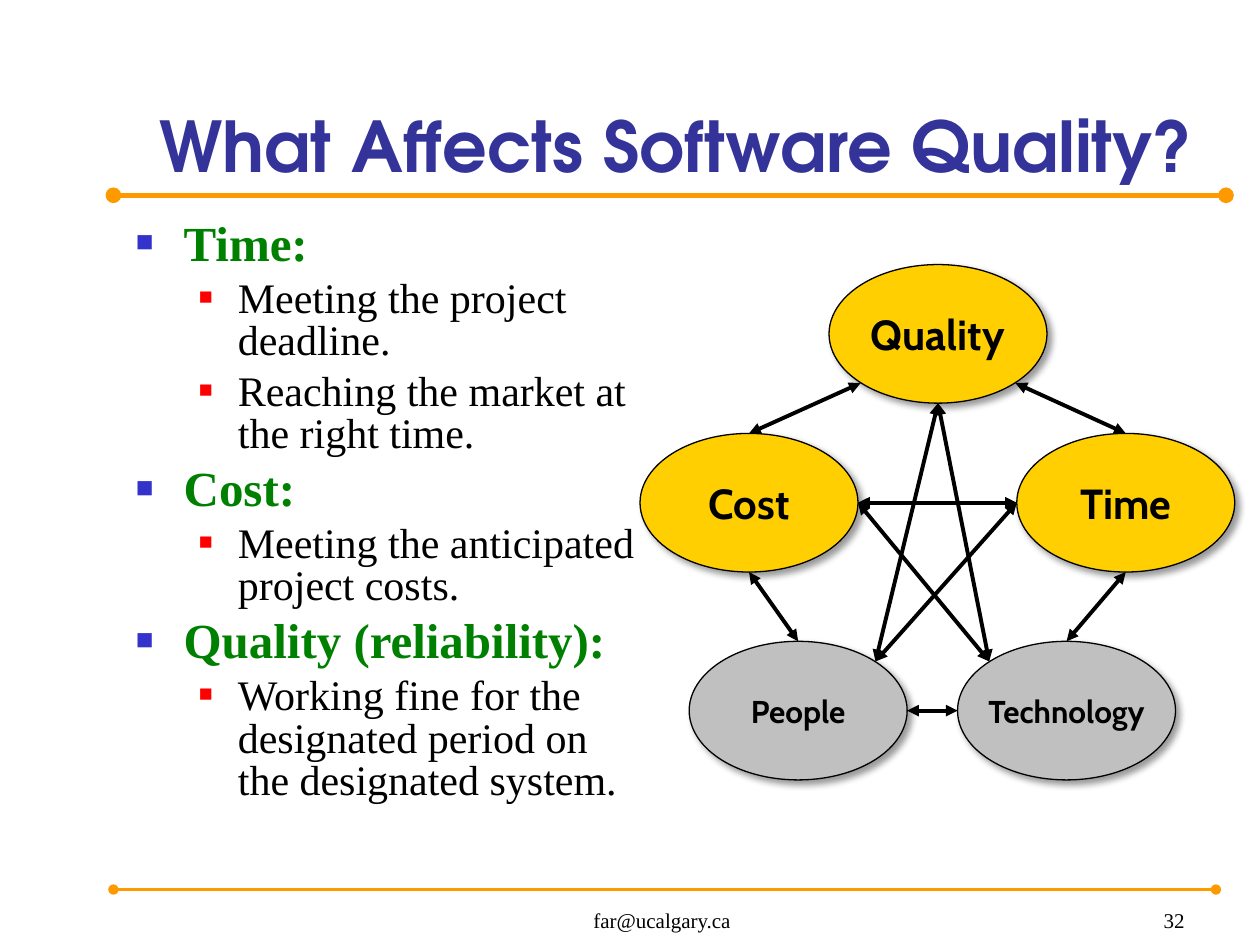
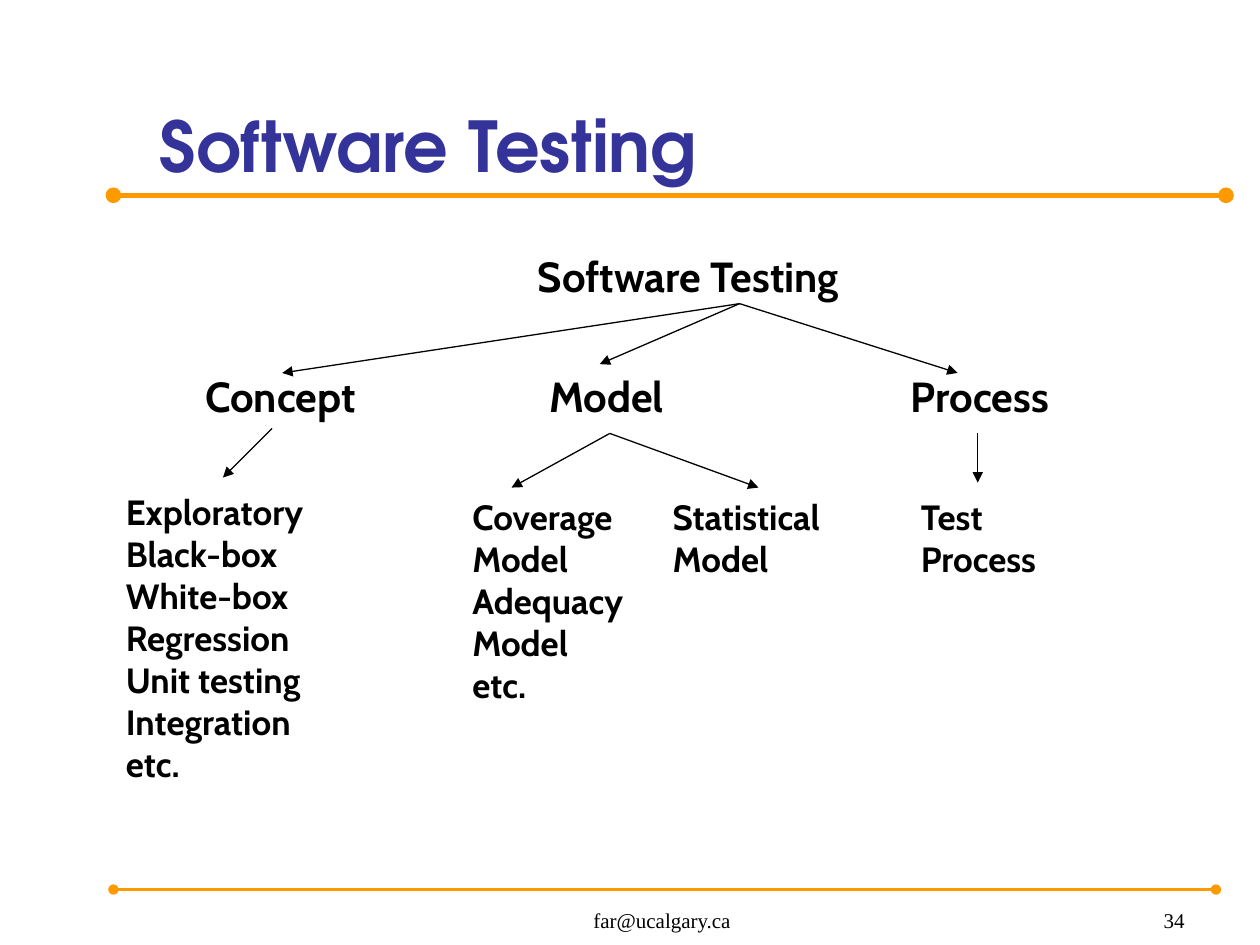
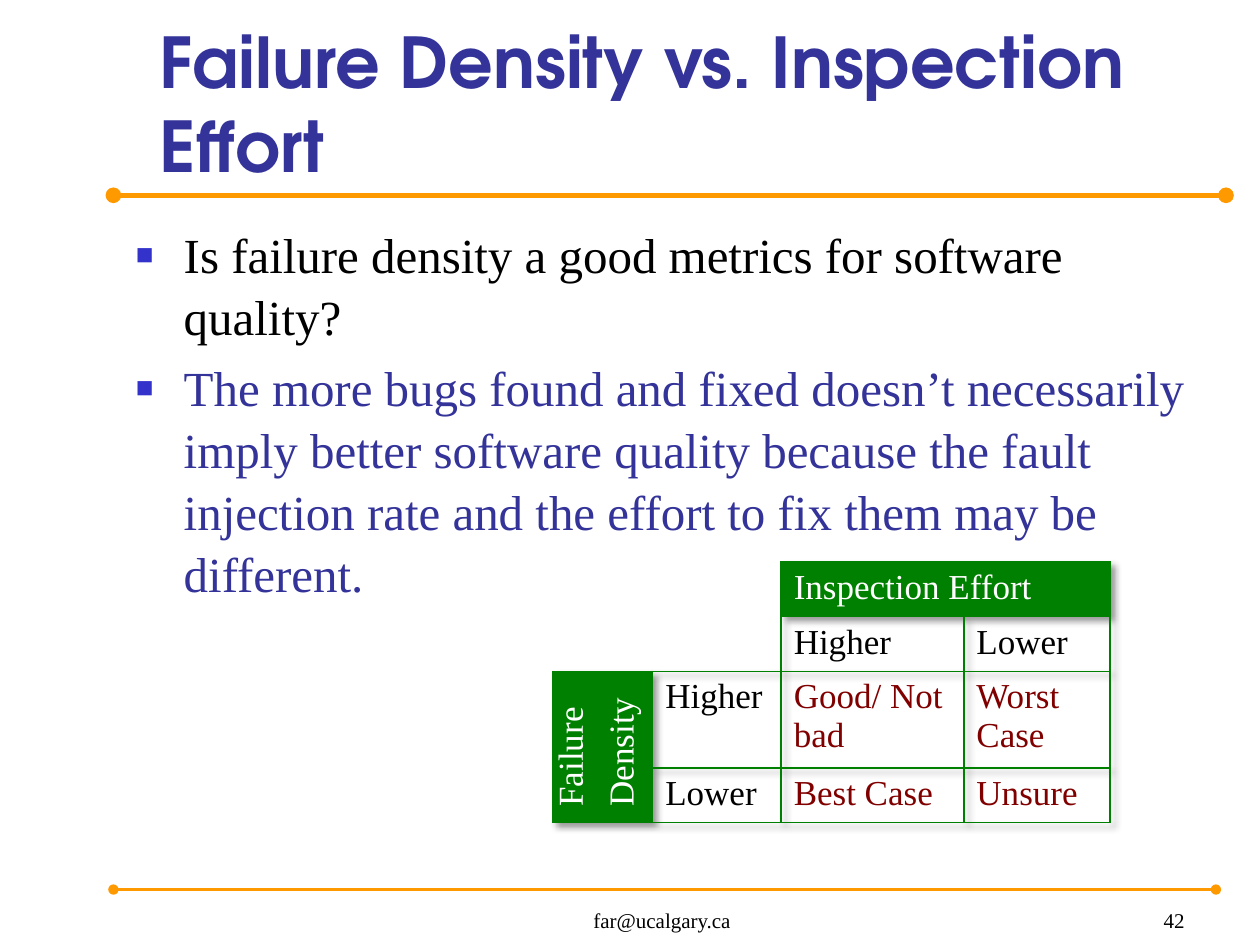
from lxml.etree import SubElement
from pptx import Presentation
from pptx.dml.color import RGBColor
from pptx.enum.shapes import MSO_CONNECTOR, MSO_SHAPE
from pptx.enum.text import MSO_ANCHOR, PP_ALIGN
from pptx.oxml import parse_xml
from pptx.oxml.ns import nsdecls, qn
from pptx.util import Inches, Pt

BLACK = RGBColor(0x00, 0x00, 0x00)
WHITE = RGBColor(0xFF, 0xFF, 0xFF)
NAVY = RGBColor(0x33, 0x33, 0x99)
BLUE = RGBColor(0x33, 0x33, 0xCC)
RED = RGBColor(0xFF, 0x00, 0x00)
GREEN = RGBColor(0x00, 0x80, 0x00)
MAROON = RGBColor(0x80, 0x00, 0x00)
ORANGE = RGBColor(0xFF, 0x99, 0x00)
GOLD = RGBColor(0xFF, 0xCF, 0x01)
GREY = RGBColor(0xC0, 0xC0, 0xC0)

SERIF = "Times New Roman"
SANS = "Cabin"
HEAD = "TeX Gyre Adventor"

# Places on an oval, as shares of its half width and half height
SLANT = 0.71
SIDES = {"top": (0, -1), "left": (-1, 0), "base": (0, 1), "right": (1, 0),
         "top left": (-SLANT, -SLANT), "top right": (SLANT, -SLANT),
         "base left": (-SLANT, SLANT), "base right": (SLANT, SLANT)}


def style(para, size, color=BLACK, face=SERIF, bold=False):
    for run in para.runs:
        font = run.font
        font.size, font.name, font.bold = Pt(size), face, bold
        font.color.rgb = color


def add_text(slide, box, lines, size, color=BLACK, face=SERIF, bold=False,
             align=PP_ALIGN.LEFT, anchor=MSO_ANCHOR.TOP):
    frame = slide.shapes.add_textbox(*map(Inches, box)).text_frame
    frame.word_wrap = True
    frame.vertical_anchor = anchor
    frame.text = "\n".join(lines)
    for para in frame.paragraphs:
        para.alignment = align
        style(para, size, color, face, bold)
    return frame


def add_line(slide, start, end, color=BLACK, width=0.75, head=None,
             tail="triangle"):
    line = slide.shapes.add_connector(
        MSO_CONNECTOR.STRAIGHT, *map(Inches, (*start, *end)))
    line.line.color.rgb = color
    line.line.width = Pt(width)
    stroke = line.line._get_or_add_ln()
    for tag, kind in (("a:headEnd", head), ("a:tailEnd", tail)):
        if kind:
            SubElement(stroke, qn(tag), type=kind)
    SubElement(line._element.spPr, qn("a:effectLst"))


def make_shadow():
    return parse_xml(
        f'<a:effectLst {nsdecls("a")}><a:outerShdw blurRad="{Pt(4)}" '
        f'dist="{Pt(3)}" dir="2700000" algn="tl" rotWithShape="0">'
        '<a:srgbClr val="000000"><a:alpha val="40000"/></a:srgbClr>'
        '</a:outerShdw></a:effectLst>')


def add_base(deck, title, number):
    """Blank slide with the shared title, rules and footer."""
    slide = deck.slides.add_slide(deck.slide_layouts[6])
    for y, right, width in ((1.55, 9.73, 3), (7.06, 9.65, 1.5)):
        add_line(slide, (0.9, y), (right, y), ORANGE, width, "oval", "oval")
    low = MSO_ANCHOR.BOTTOM
    add_text(slide, (3.67, 7.01, 3.17, 0.44), ["far@ucalgary.ca"], 12,
             align=PP_ALIGN.CENTER, anchor=low)
    add_text(slide, (7.42, 7.01, 2.08, 0.44), [str(number)], 12,
             align=PP_ALIGN.RIGHT, anchor=low)
    add_text(slide, (1.17, 0.28, 8.61, 1.25), [title], 40, NAVY, HEAD, True,
             anchor=low)
    return slide


def add_bullet(para, level):
    indent, hang, color, scale = (
        (0.38, 0.38, BLUE, 60), (0.81, 0.31, RED, 55))[level]
    props = para._p.get_or_add_pPr()
    props.set("marL", str(Inches(indent)))
    props.set("indent", str(-Inches(hang)))
    tint = SubElement(props, qn("a:buClr"))
    SubElement(tint, qn("a:srgbClr"), val=str(color))
    SubElement(props, qn("a:buSzPct"), val=str(scale * 1000))
    SubElement(props, qn("a:buFont"), typeface="Arial")
    SubElement(props, qn("a:buChar"), char="■")


def add_list(slide, width, items, spacing):
    """Items are (level, text, color, bold)."""
    frame = add_text(slide, (0.98, 1.71, width, 4.96),
                     [item[1] for item in items], 28)
    for index, (para, item) in enumerate(zip(frame.paragraphs, items)):
        level, _, color, bold = item
        size = (28, 24)[level]
        add_bullet(para, level)
        para.line_spacing = spacing
        if index:
            para.space_before = Pt(size / 5)
        style(para, size, color, bold=bold)


def add_oval(slide, name, left, top, color, size):
    oval = slide.shapes.add_shape(
        MSO_SHAPE.OVAL, *map(Inches, (left, top, 1.73, 1.1)))
    oval.fill.solid()
    oval.fill.fore_color.rgb = color
    oval.line.color.rgb = BLACK
    oval.line.width = Pt(0.75)
    oval._element.spPr.append(make_shadow())
    frame = oval.text_frame
    frame.word_wrap = False
    frame.vertical_anchor = MSO_ANCHOR.MIDDLE
    frame.text = name
    frame.paragraphs[0].alignment = PP_ALIGN.CENTER
    style(frame.paragraphs[0], size, face=SANS, bold=True)


def set_edges(cell, shown):
    props = cell._tc.get_or_add_tcPr()
    for index, side in enumerate("LRTB"):
        paint = (f'<a:solidFill><a:srgbClr val="{GREEN}"/></a:solidFill>'
                 if side in shown else "<a:noFill/>")
        props.insert(index, parse_xml(
            f'<a:ln{side} {nsdecls("a")} w="{Pt(1)}">{paint}</a:ln{side}>'))


def add_grid(slide, rows, widths, heights):
    grid = slide.shapes.add_table(
        len(rows), len(widths), Inches(4.39), Inches(4.46),
        Inches(sum(widths)), Inches(sum(heights))).table
    grid.first_row = grid.horz_banding = False
    grid._tbl.tblPr.insert(0, make_shadow())
    for column, width in zip(grid.columns, widths):
        column.width = Inches(width)
    for row, height in zip(grid.rows, heights):
        row.height = Inches(height)
    for r, row in enumerate(rows):
        for c, text in enumerate(row):
            cell = grid.cell(r, c)
            banner = (r == 0 and c > 1) or (c == 0 and r > 1)
            cell.fill.background()
            if banner:
                cell.fill.solid()
                cell.fill.fore_color.rgb = GREEN
            set_edges(cell, "RB" if r < 2 and c < 2 else "LRTB")
            if text:
                color = WHITE if banner else (
                    MAROON if r > 1 and c > 1 else BLACK)
                cell.text_frame.text = text
                style(cell.text_frame.paragraphs[0], 20, color)
    for first, last in (((0, 0), (1, 1)), ((0, 2), (0, 3)), ((2, 0), (3, 0))):
        grid.cell(*first).merge(grid.cell(*last))


def build_factors(deck):
    slide = add_base(deck, "What Affects Software Quality?", 32)
    add_list(slide, 4.17, [
        (0, "Time:", GREEN, True),
        (1, "Meeting the project deadline.", BLACK, False),
        (1, "Reaching the market at the right time.", BLACK, False),
        (0, "Cost:", GREEN, True),
        (1, "Meeting the anticipated project costs.", BLACK, False),
        (0, "Quality (reliability):", GREEN, True),
        (1, "Working fine for the designated period on the designated "
            "system.", BLACK, False)], 0.84)

    # Ovals and the arrows between them
    ovals = {"Quality": (6.58, 2.1, GOLD, 24), "Cost": (5.08, 3.44, GOLD, 24),
             "Time": (8.07, 3.44, GOLD, 24), "People": (5.47, 5.09, GREY, 18),
             "Technology": (7.6, 5.09, GREY, 18)}
    for name, place in ovals.items():
        add_oval(slide, name, *place)

    def find(name, side):
        left, top = ovals[name][:2]
        across, down = SIDES[side]
        return left + 0.865 * (1 + across), top + 0.55 * (1 + down)

    for start, end in (
            (("Cost", "top"), ("Quality", "base left")),
            (("Cost", "right"), ("Time", "left")),
            (("Quality", "base right"), ("Time", "top")),
            (("Time", "base"), ("Technology", "top")),
            (("People", "right"), ("Technology", "left")),
            (("People", "top"), ("Cost", "base")),
            (("Quality", "base"), ("Technology", "top left")),
            (("People", "top right"), ("Quality", "base")),
            (("People", "top right"), ("Time", "left")),
            (("Cost", "right"), ("Technology", "top left"))):
        add_line(slide, find(*start), find(*end), width=2.25, head="triangle")


def build_tree(deck):
    slide = add_base(deck, "Software Testing", 34)
    # Root and branches
    for left, top, width, text in (
            (4.17, 1.94, 3.09, "Software Testing"),
            (1.53, 2.89, 1.57, "Concept"),
            (4.26, 2.89, 1.21, "Model"),
            (7.13, 2.89, 1.49, "Process")):
        add_text(slide, (left, top, width, 0.5), [text], 24, face=SANS,
                 bold=True)
    # Leaves
    for left, top, width, lines in (
            (0.9, 3.84, 1.85, ["Exploratory", "Black-box", "White-box",
                               "Regression", "Unit testing", "Integration",
                               "etc."]),
            (3.65, 3.88, 1.57, ["Coverage", "Model", "Adequacy", "Model",
                                "etc."]),
            (5.24, 3.88, 1.61, ["Statistical", "Model"]),
            (7.21, 3.88, 1.27, ["Test", "Process"])):
        height = 0.1 + 0.34 * len(lines)
        add_text(slide, (left, top, width, height), lines, 20, face=SANS,
                 bold=True)
    # Arrows, by starting point
    for start, ends in (
            ((5.87, 2.41), ((2.24, 2.96), (4.76, 2.89), (7.6, 2.96))),
            ((2.16, 3.4), ((1.77, 3.79),)),
            ((4.84, 3.44), ((4.06, 3.87), (6.02, 3.87))),
            ((7.76, 3.44), ((7.76, 3.83),))):
        for end in ends:
            add_line(slide, start, end)


def build_density(deck):
    slide = add_base(deck, "Failure Density vs. Inspection Effort", 42)
    add_list(slide, 8.75, [
        (0, "Is failure density a good metrics for software quality?",
         BLACK, False),
        (0, "The more bugs found and fixed doesn’t necessarily imply better "
            "software quality because the fault injection rate and the "
            "effort to fix them may be different.", NAVY, False)], 1.05)
    add_grid(slide, [
        ["", "", "Inspection Effort", ""],
        ["", "", "Higher", "Lower"],
        ["", "Higher", "Good/ Not bad", "Worst Case"],
        ["", "Lower", "Best Case", "Unsure"]],
        (0.79, 1.02, 1.45, 1.16), (0.41, 0.41, 0.72, 0.41))
    # Upright row label
    label = add_text(slide, (4.3, 5.34, 0.94, 1.16), ["Failure", "Density"],
                     20, WHITE)
    label._txBody.bodyPr.set("vert", "vert270")
    label.paragraphs[1].space_before = Pt(5)


def main():
    deck = Presentation()
    deck.slide_width, deck.slide_height = Inches(10), Inches(7.5)
    build_factors(deck)
    build_tree(deck)
    build_density(deck)
    deck.save("out.pptx")


if __name__ == "__main__":
    main()
